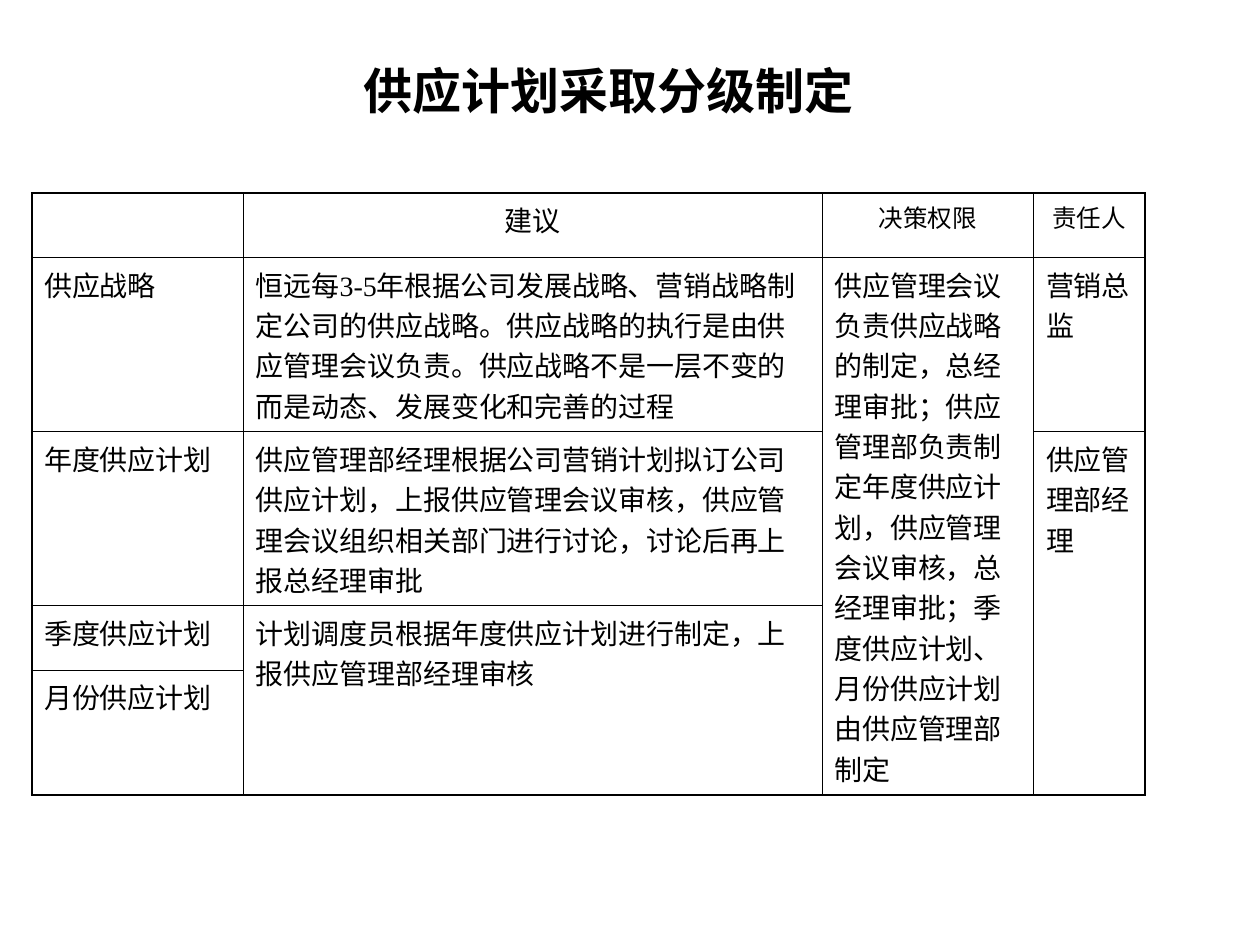
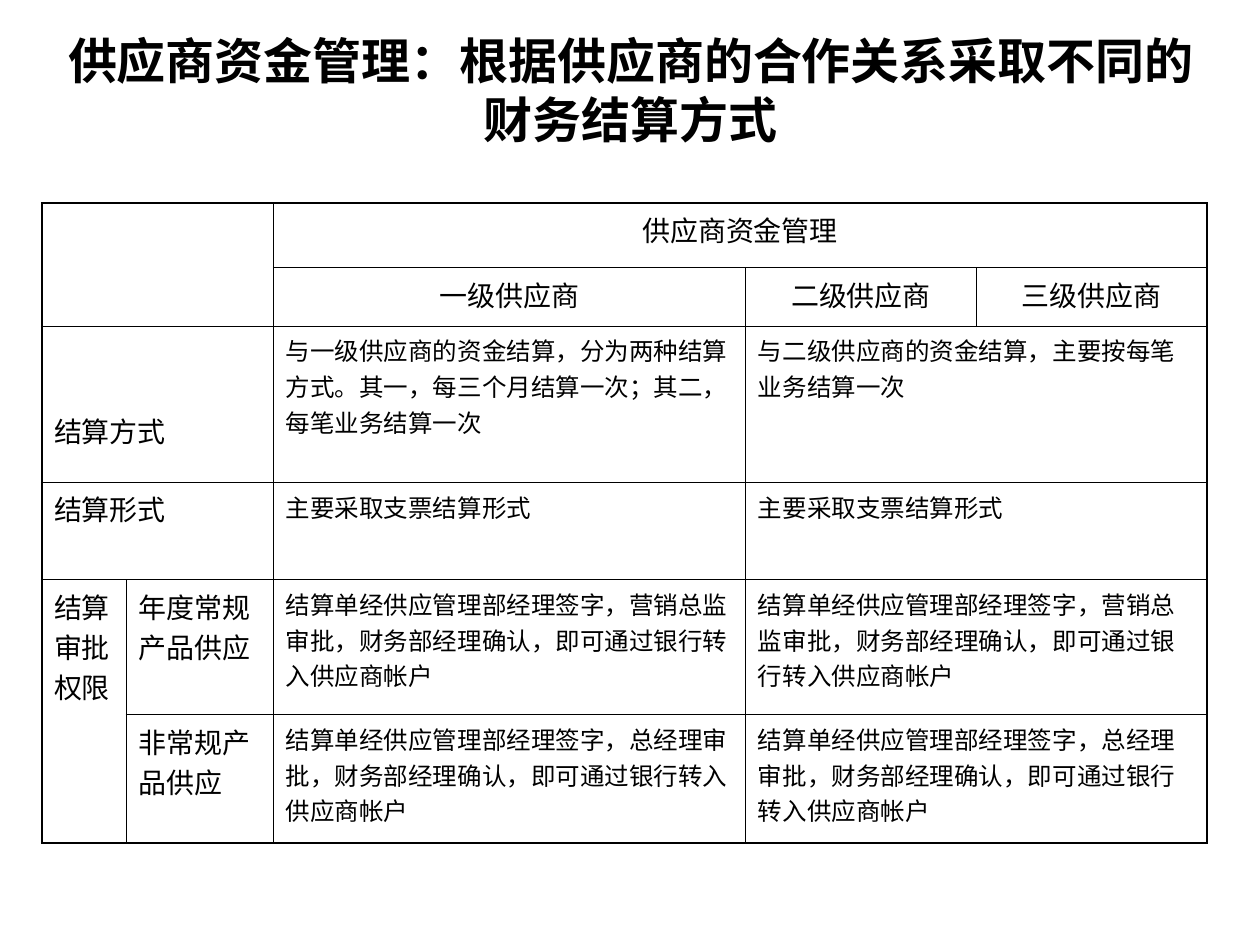
import pptx
import pptx.dml.color
import pptx.enum.text
import pptx.oxml.ns
import pptx.util
from lxml import etree

Cm = pptx.util.Cm
Pt = pptx.util.Pt
INK = pptx.dml.color.RGBColor(0x00, 0x00, 0x00)
TITLE_FONT = "Noto Sans CJK SC"
LATIN_FONT = "Times New Roman"
TITLE_SIZE, LARGE, SMALL = 28, 16, 14
OUTER_LINE, INNER_LINE = 1.08, 0.45

PLAN_LEVELS = {
    "title": "供应计划采取分级制定",
    "title_place": (1.47, 1.07, 21.59, 1.47),
    "corner": (0.64, 3.89),
    "columns": (4.27, 11.66, 4.27, 2.24),
    "heights": (1.3, 3.51, 3.51, 1.3, 2.52),
    "header_rows": 1,
    "small": {(0, 2), (0, 3)},
    "spans": {(1, 2): (4, 1), (2, 3): (3, 1), (3, 1): (2, 1)},
    "top_margins": {},
    "rows": [
        ("", "建议", "决策权限", "责任人"),
        ("供应战略",
         "恒远每3-5年根据公司发展战略、营销战略制定公司的供应战略。供应战略的执行是由供应管理会议负责。"
         "供应战略不是一层不变的而是动态、发展变化和完善的过程",
         "供应管理会议负责供应战略的制定，总经理审批；供应管理部负责制定年度供应计划，供应管理会议审核，"
         "总经理审批；季度供应计划、月份供应计划由供应管理部制定",
         "营销总监"),
        ("年度供应计划",
         "供应管理部经理根据公司营销计划拟订公司供应计划，上报供应管理会议审核，"
         "供应管理会议组织相关部门进行讨论，讨论后再上报总经理审批",
         "", "供应管理部经理"),
        ("季度供应计划", "计划调度员根据年度供应计划进行制定，上报供应管理部经理审核", "", ""),
        ("月份供应计划", "", "", ""),
    ],
}

ROUTINE_APPROVAL = "结算单经供应管理部经理签字，营销总监审批，财务部经理确认，即可通过银行转入供应商帐户"
SPECIAL_APPROVAL = "结算单经供应管理部经理签字，总经理审批，财务部经理确认，即可通过银行转入供应商帐户"
CHEQUE = "主要采取支票结算形式"

SUPPLIER_FUNDS = {
    "title": "供应商资金管理：根据供应商的合作关系采取不同的财务结算方式",
    "title_place": (1.07, 1.07, 23.29, 1.47),
    "corner": (0.84, 4.09),
    "columns": (1.7, 2.97, 9.52, 4.65, 4.65),
    "heights": (1.3, 1.18, 3.15, 1.96, 2.72, 2.59),
    "header_rows": 2,
    "small": {(row, column) for row in range(2, 6) for column in (2, 3)},
    "spans": {(0, 0): (2, 2), (0, 2): (1, 3), (2, 0): (1, 2), (3, 0): (1, 2), (4, 0): (2, 1),
              **{(row, 3): (1, 2) for row in range(2, 6)}},
    "top_margins": {(2, 0): 1.7},
    "rows": [
        ("", "", "供应商资金管理", "", ""),
        ("", "", "一级供应商", "二级供应商", "三级供应商"),
        ("结算方式", "",
         "与一级供应商的资金结算，分为两种结算方式。其一，每三个月结算一次；其二，每笔业务结算一次",
         "与二级供应商的资金结算，主要按每笔业务结算一次", ""),
        ("结算形式", "", CHEQUE, CHEQUE, ""),
        ("结算审批权限", "年度常规产品供应", ROUTINE_APPROVAL, ROUTINE_APPROVAL, ""),
        ("", "非常规产品供应", SPECIAL_APPROVAL, SPECIAL_APPROVAL, ""),
    ],
}


def write(paragraph, text, size, latin, bold=False, centred=False):
    paragraph.alignment = (pptx.enum.text.PP_ALIGN.CENTER if centred
                           else pptx.enum.text.PP_ALIGN.LEFT)
    paragraph.font.size = Pt(size)
    if not text:
        return
    run = paragraph.add_run()
    run.text = text
    run.font.size = Pt(size)
    run.font.bold = bold
    run.font.name = latin
    run.font.color.rgb = INK
    east_asian = etree.Element(pptx.oxml.ns.qn("a:ea"), typeface=TITLE_FONT)
    run.font._element.find(pptx.oxml.ns.qn("a:latin")).addnext(east_asian)


def rule_cell(cell, widths):
    properties = cell._tc.get_or_add_tcPr()
    for side, width in zip("LRTB", widths):
        line = etree.SubElement(properties, pptx.oxml.ns.qn(f"a:ln{side}"), w=str(Pt(width)))
        fill = etree.SubElement(line, pptx.oxml.ns.qn("a:solidFill"))
        etree.SubElement(fill, pptx.oxml.ns.qn("a:srgbClr"), val=str(INK))
    cell.fill.background()


def add_title(slide, content):
    frame = slide.shapes.add_textbox(*map(Cm, content["title_place"])).text_frame
    frame.word_wrap = True
    frame.vertical_anchor = pptx.enum.text.MSO_ANCHOR.MIDDLE
    write(frame.paragraphs[0], content["title"], TITLE_SIZE, TITLE_FONT, bold=True, centred=True)


def add_grid(slide, content):
    columns, heights = content["columns"], content["heights"]
    size = sum(columns), sum(heights)
    grid = slide.shapes.add_table(len(heights), len(columns),
                                  *map(Cm, content["corner"] + size)).table
    grid.first_row = grid.horz_banding = False
    for column, width in zip(grid.columns, columns):
        column.width = Cm(width)
    for row, height in zip(grid.rows, heights):
        row.height = Cm(height)
    for (top, left), (down, across) in content["spans"].items():
        grid.cell(top, left).merge(grid.cell(top + down - 1, left + across - 1))

    for top, texts in enumerate(content["rows"]):
        for left, text in enumerate(texts):
            place = top, left
            cell = grid.cell(top, left)
            down, across = content["spans"].get(place, (1, 1))
            on_edge = (left == 0, left + across == len(columns),
                       top == 0, top + down == len(heights))
            rule_cell(cell, [OUTER_LINE if edge else INNER_LINE for edge in on_edge])
            cell.margin_left = cell.margin_right = Cm(0.25)
            cell.margin_top = Cm(content["top_margins"].get(place, 0.13))
            cell.margin_bottom = Cm(0.13)
            write(cell.text_frame.paragraphs[0], text,
                  SMALL if place in content["small"] else LARGE, LATIN_FONT,
                  centred=top < content["header_rows"])


def main():
    deck = pptx.Presentation()
    deck.slide_width, deck.slide_height = Cm(25.4), Cm(19.05)
    for content in (PLAN_LEVELS, SUPPLIER_FUNDS):
        slide = deck.slides.add_slide(deck.slide_layouts[6])
        add_title(slide, content)
        add_grid(slide, content)
    deck.save("out.pptx")


if __name__ == "__main__":
    main()
